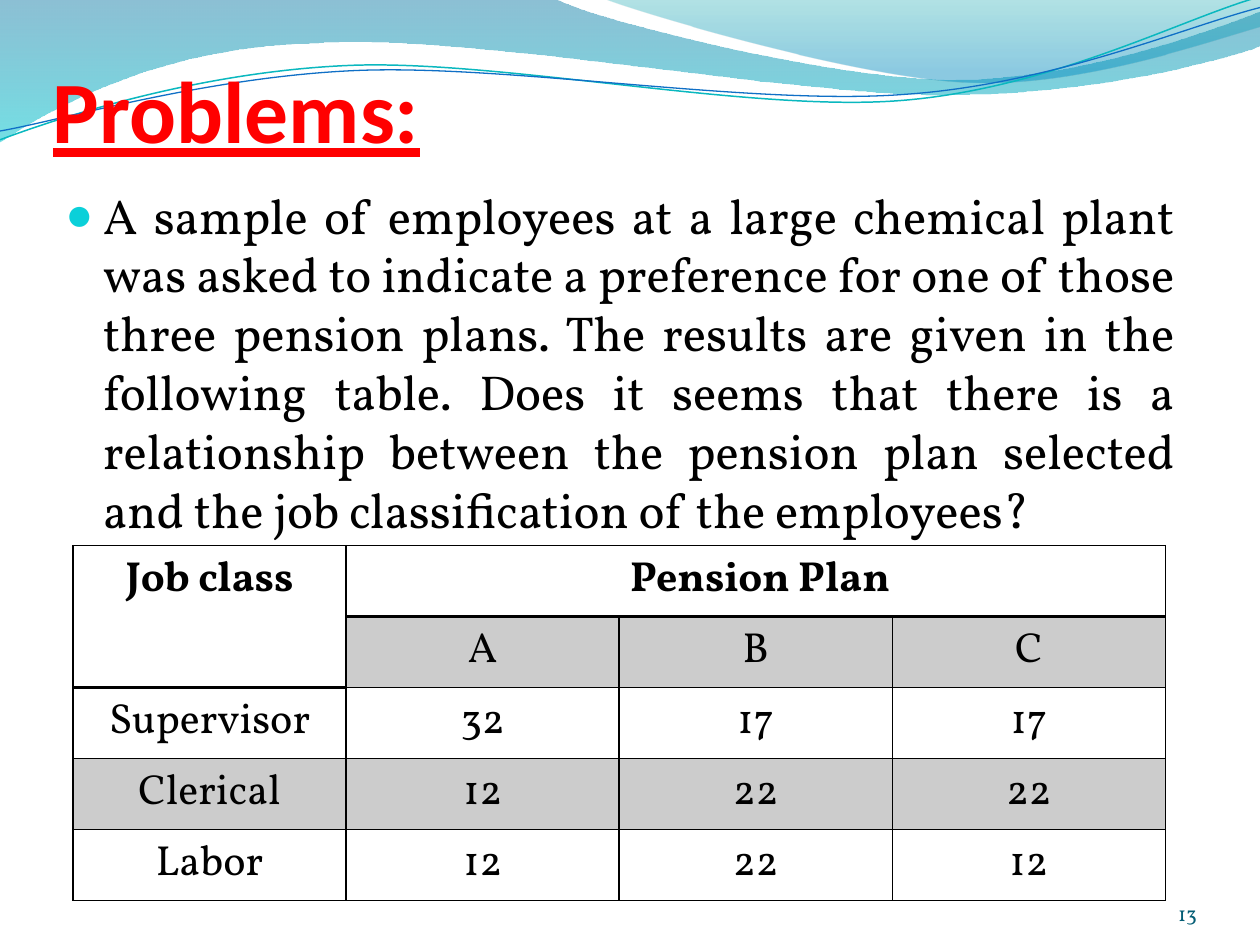
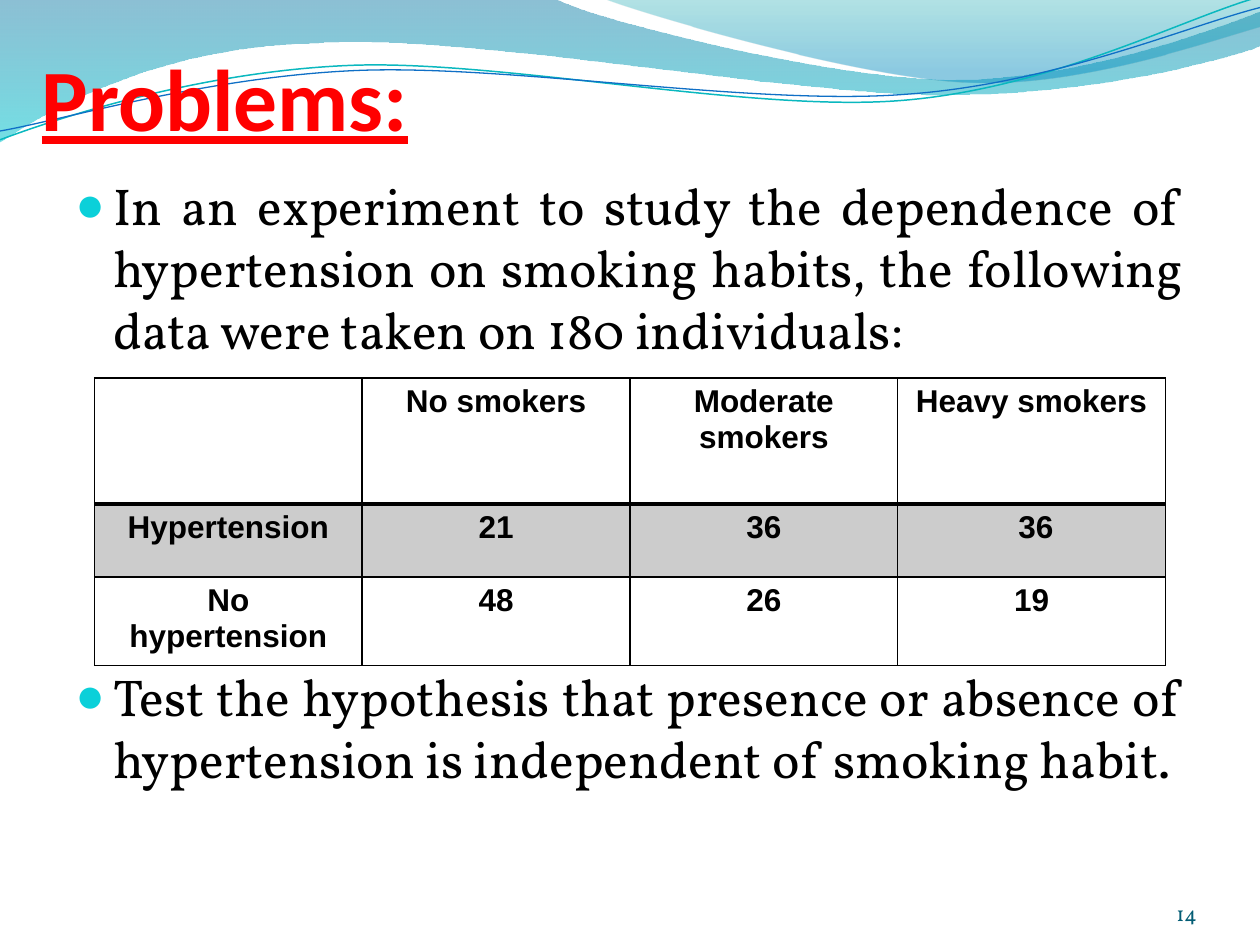
from dataclasses import dataclass
from typing import Any

from lxml.etree import SubElement as add_element
from pptx import Presentation
from pptx.dml.color import RGBColor
from pptx.enum.text import MSO_ANCHOR as Anchor, PP_ALIGN as Align
from pptx.oxml.ns import qn
from pptx.util import Inches, Pt

COLORS = {
    "title": "FF0000", "text": "000000", "band": "CCCCCC", "number": "045D75",
    "bullet": "0BD0D9", "teal line": "0AB8BF", "blue line": "0F6FC6",
    "deep blue": "0074A1", "aqua": "00C6CF", "teal": "00A1A9", "sky": "008BBF",
}
SERIF = "Vollkorn"


@dataclass(frozen=True)
class Format:
    size: float
    font: str = SERIF
    color: str = "text"
    bold: bool = False
    underline: bool = False


@dataclass(frozen=True)
class Stop:
    color: str
    position: float
    opacity: int


@dataclass(frozen=True)
class Wave:
    points: list[tuple[float, ...]]
    stops: tuple[Stop, ...] = ()
    line: str = ""
    width: float = 0


@dataclass(frozen=True)
class Bullet:
    text: str
    space_before: float


@dataclass(frozen=True)
class Grid:
    left: float
    top: float
    width: float
    row_heights: list[float]
    rows: list[list[str]]
    format: Format
    bold_rows: int
    shaded: set[tuple[int, int]]
    merges: tuple[tuple[int, int, int, int], ...] = ()


@dataclass(frozen=True)
class Problem:
    number: int
    title_box: tuple[float, float, float, float]
    body_box: tuple[float, float, float, float]
    body_size: float
    bullets: list[Bullet]
    grid: Grid


TITLE = Format(50, "Calibri", "title", True, True)
NUMBER = Format(12, color="number")

WAVES = [
    Wave([(0, 0), (4.4, -0.01), (4.76, 0.17, 6.64, 0.63, 7.58, 0.63),
          (8.53, 0.63, 9.58, 0.26, 10, 0.09), (10.01, 0.36),
          (9.83, 0.44, 8.7, 0.76, 7.46, 0.75), (6.22, 0.75, 3.82, 0.28, 2.57, 0.34),
          (1.29, 0.36, 0.46, 0.83, -0.01, 1.13)],
         (Stop("deep blue", 0, 45), Stop("aqua", 1, 55))),
    Wave([(4.79, -0.01), (5.09, 0.11, 6.82, 0.62, 7.69, 0.65),
          (8.56, 0.69, 9.61, 0.32, 10, 0.21), (10, 0)],
         (Stop("teal", 0, 30), Stop("sky", 0.8, 45))),
    Wave([(0, 1.11), (0.48, 0.93, 1.58, 0.57, 2.77, 0.52),
          (3.95, 0.47, 5.93, 0.89, 7.13, 0.8), (8.33, 0.71, 9.38, 0.15, 9.98, -0.02)],
         line="teal line", width=0.85),
    Wave([(0, 1.04), (0.47, 0.96, 1.64, 0.61, 2.83, 0.56),
          (4.03, 0.51, 5.97, 0.84, 7.17, 0.75), (8.36, 0.67, 9.41, 0.21, 10, 0.06)],
         line="blue line", width=0.75),
]

PROBLEMS = [
    Problem(
        13, (0.42, 0.03, 9, 1.25), (0.42, 1.42, 9, 5.3), 28,
        [Bullet("A sample of employees at a large chemical plant was asked to indicate a "
                "preference for one of those three pension plans. The results are given in "
                "the following table. Does it seems that there is a relationship between "
                "the pension plan selected and the job classification of the employees?",
                5.6)],
        Grid(0.58, 4.33, 8.67, [2.82 / 5] * 5,
             [["Job class", " Pension Plan", "", ""],
              ["", "A", "B", "C"],
              ["Supervisor", "32", "17", "17"],
              ["Clerical", "12", "22", "22"],
              ["Labor", "12", "22", "12"]],
             Format(24), 1,
             {(1, column) for column in range(1, 4)} | {(3, column) for column in range(4)},
             ((0, 0, 1, 0), (0, 1, 0, 3)))),
    Problem(
        14, (0.33, 0.08, 9, 1.1), (0.5, 1.33, 9, 5.58), 29.6,
        [Bullet("In an experiment to study the dependence of hypertension on smoking "
                "habits, the following data were taken on 180 individuals:", 5.9),
         Bullet("Test the hypothesis that presence or absence of hypertension is "
                "independent of smoking habit.", 174)],
        Grid(0.75, 3, 8.5, [1, 0.58, 0.67],
             [["", "No smokers", "Moderate smokers", "Heavy smokers"],
              ["Hypertension", "21", "36", " 36"],
              ["No hypertension", "48", "26", "19"]],
             Format(18, "Arial"), 3, {(1, column) for column in range(4)})),
]


def rgb(name: str) -> RGBColor:
    return RGBColor.from_string(COLORS[name])


def set_all(target: Any, values: dict[str, Any]) -> None:
    for name, value in values.items():
        setattr(target, name, value)


def write(paragraph: Any, text: str, style: Format, align: Align, bold: bool = False) -> None:
    paragraph.alignment = align
    run = paragraph.add_run()
    run.text = text
    set_all(run.font, {"name": style.font, "size": Pt(style.size),
                       "bold": style.bold or bold, "underline": style.underline})
    run.font.color.rgb = rgb(style.color)


def add_frame(slide: Any, box: tuple[float, ...], anchor: Anchor = Anchor.BOTTOM,
              inset: tuple[float, float] = (0, 0)) -> Any:
    frame = slide.shapes.add_textbox(*map(Inches, box)).text_frame
    across, down = map(Inches, inset)
    set_all(frame, {"word_wrap": True, "vertical_anchor": anchor, "margin_left": across,
                    "margin_right": across, "margin_top": down, "margin_bottom": down})
    return frame


def add_body(slide: Any, problem: Problem) -> None:
    frame = add_frame(slide, problem.body_box, Anchor.TOP, (0.1, 0.05))
    for index, bullet in enumerate(problem.bullets):
        paragraph = frame.add_paragraph() if index else frame.paragraphs[0]
        write(paragraph, bullet.text, Format(problem.body_size), Align.JUSTIFY)
        paragraph.space_before = Pt(bullet.space_before)
        properties = paragraph._p.get_or_add_pPr()
        properties.set("marL", str(Inches(0.3)))
        properties.set("indent", str(Inches(-0.3)))
        color = add_element(properties, qn("a:buClr"))
        add_element(color, qn("a:srgbClr"), val=COLORS["bullet"])
        add_element(properties, qn("a:buSzPct"), val="95000")
        add_element(properties, qn("a:buFont"), typeface="Arial")
        add_element(properties, qn("a:buChar"), char="●")


def bend(shape: Any, points: list[tuple[float, ...]]) -> None:
    segments = iter(shape._element.xpath(".//a:lnTo"))
    for point in points[1:]:
        first = next(segments)
        if len(point) == 6:
            first.tag = qn("a:cubicBezTo")
            for segment in (next(segments), next(segments)):
                first.append(segment[0])
                segment.getparent().remove(segment)


def add_wave(slide: Any, wave: Wave) -> None:
    start, *rest = [(Inches(x), Inches(y)) for point in wave.points
                    for x, y in zip(point[::2], point[1::2])]
    builder = slide.shapes.build_freeform(*start)
    builder.add_line_segments(rest, close=bool(wave.stops))
    shape = builder.convert_to_shape()
    bend(shape, wave.points)
    shape.shadow.inherit = False
    if wave.line:
        shape.fill.background()
        shape.line.color.rgb = rgb(wave.line)
        shape.line.width = Pt(wave.width)
        return
    shape.line.fill.background()
    shape.fill.gradient()
    shape.fill.gradient_angle = 270
    for gradient_stop, stop in zip(shape.fill.gradient_stops, wave.stops):
        gradient_stop.color.rgb = rgb(stop.color)
        gradient_stop.position = stop.position
    for color, stop in zip(shape._element.xpath(".//a:gs/a:srgbClr"), wave.stops):
        add_element(color, qn("a:alpha"), val=str(stop.opacity * 1000))


def add_borders(cell: Any, heavy_bottom: bool) -> None:
    properties = cell._tc.get_or_add_tcPr()
    for side in "LRTB":
        width = Pt(2 if heavy_bottom and side == "B" else 1)
        line = add_element(properties, qn(f"a:ln{side}"), w=str(width))
        fill = add_element(line, qn("a:solidFill"))
        add_element(fill, qn("a:srgbClr"), val=COLORS["text"])


def add_grid(slide: Any, grid: Grid) -> None:
    box = (grid.left, grid.top, grid.width, sum(grid.row_heights))
    columns = len(grid.rows[0])
    table = slide.shapes.add_table(len(grid.rows), columns, *map(Inches, box)).table
    set_all(table, {"first_row": False, "horz_banding": False})
    for row, height in zip(table.rows, grid.row_heights):
        row.height = Inches(height)
    for column in table.columns:
        column.width = Inches(grid.width / columns)
    for top, left, bottom, right in grid.merges:
        table.cell(top, left).merge(table.cell(bottom, right))
    for row, texts in enumerate(grid.rows):
        for column, text in enumerate(texts):
            cell = table.cell(row, column)
            add_borders(cell, row == 0 or cell.is_spanned)
            if (row, column) in grid.shaded:
                cell.fill.solid()
                cell.fill.fore_color.rgb = rgb("band")
            else:
                cell.fill.background()
            if text:
                write(cell.text_frame.paragraphs[0], text, grid.format, Align.CENTER,
                      row < grid.bold_rows)


def add_problem(presentation: Any, problem: Problem) -> None:
    slide = presentation.slides.add_slide(presentation.slide_layouts[6])
    for wave in WAVES:
        add_wave(slide, wave)
    title = add_frame(slide, problem.title_box)
    write(title.paragraphs[0], "Problems:", TITLE, Align.LEFT)
    add_body(slide, problem)
    add_grid(slide, problem.grid)
    number = add_frame(slide, (8.67, 6.95, 0.83, 0.4))
    write(number.paragraphs[0], str(problem.number), NUMBER, Align.RIGHT)


def main() -> None:
    presentation = Presentation()
    set_all(presentation, {"slide_width": Inches(10), "slide_height": Inches(7.5)})
    for problem in PROBLEMS:
        add_problem(presentation, problem)
    presentation.save("out.pptx")


main()
